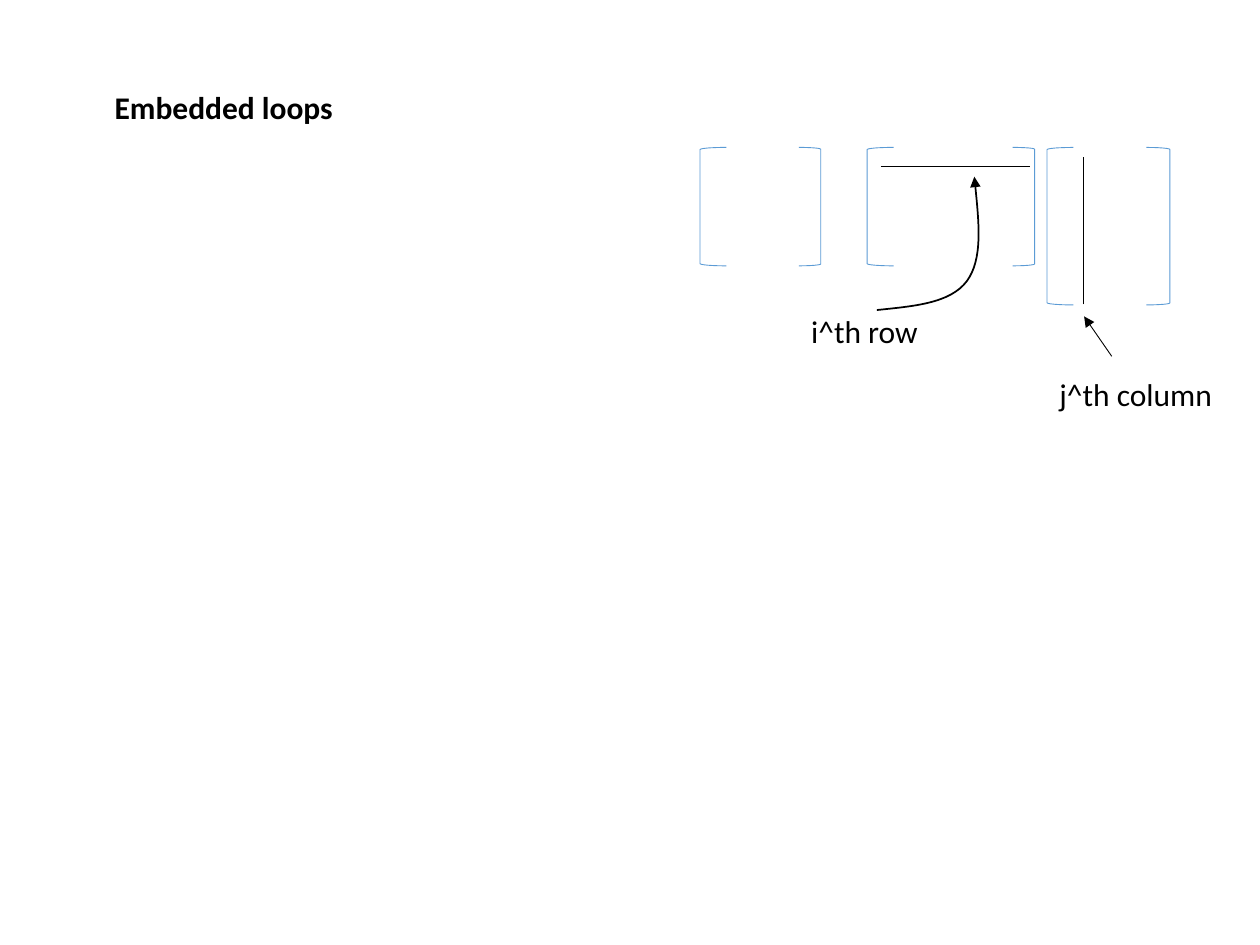
from dataclasses import dataclass

from lxml.etree import SubElement
from pptx import Presentation
from pptx.dml.color import RGBColor
from pptx.enum.shapes import MSO_CONNECTOR, MSO_SHAPE
from pptx.enum.text import MSO_ANCHOR, MSO_AUTO_SIZE, PP_ALIGN
from pptx.oxml.ns import qn
from pptx.util import Pt


@dataclass(frozen=True)
class Theme:
    font: str = "Calibri"
    size: float = 18
    ink: RGBColor = RGBColor(0, 0, 0)
    blue: RGBColor = RGBColor(0x5B, 0x9B, 0xD5)
    thin: float = 0.5
    bold: float = 1


@dataclass(frozen=True)
class Matrix:
    left: float
    right: float
    height: float
    close: float  # width of the closing bracket


@dataclass(frozen=True)
class Label:
    text: str
    left: float
    top: float
    width: float
    bold: bool = False


@dataclass(frozen=True)
class Line:
    start: tuple[float, float]
    end: tuple[float, float]
    arrow: bool = False


THEME = Theme()
TOP = 84.25  # shared top edge of the brackets
OPEN = 15.1  # width of an opening bracket
HIGH = 28.8  # height of a label

TITLE = Label("Embedded loops", 58.3, 46.8, 139.7, True)
LABELS = [
    Label("i^th row", 456.5, 174.5, 76.3),
    Label("j^th column", 598.3, 211, 103),
]
MATRICES = [
    Matrix(400, 469, 67.7, 12.5),
    Matrix(495.5, 591.2, 67.7, 12.5),
    Matrix(598.3, 668.5, 90, 13.4),
]
LINES = [
    Line((503.3, 95), (588.8, 95)),
    Line((619.2, 174), (619.2, 89.5)),
    Line((635.3, 203.6), (619.5, 180.8), True),
]
# Start point, then two control points and an end point per bend
CURVE = [
    (501.1, 177.2),
    (522, 175, 542.9, 173.5, 552.5, 160.7),
    (561.6, 148.3, 559.2, 124.5, 556.8, 101),
]


def stroke(line, color: RGBColor, width: float) -> None:
    line.color.rgb = color
    line.width = Pt(width)


def add_head(shape) -> None:
    ln = shape.line._get_or_add_ln()
    SubElement(ln, qn("a:tailEnd"), type="triangle")


def fill_text(box, label: Label) -> None:
    box.left, box.top = Pt(label.left), Pt(label.top)
    box.width, box.height = Pt(label.width), Pt(HIGH)
    frame = box.text_frame
    frame.word_wrap = False
    frame.auto_size = MSO_AUTO_SIZE.SHAPE_TO_FIT_TEXT
    frame.vertical_anchor = MSO_ANCHOR.TOP
    para = frame.paragraphs[0]
    para.alignment = PP_ALIGN.LEFT
    run = para.add_run()
    run.text = label.text
    font = run.font
    font.name, font.size, font.bold = THEME.font, Pt(THEME.size), label.bold
    font.color.rgb = THEME.ink


def draw_matrix(shapes, item: Matrix) -> None:
    sides = [
        (MSO_SHAPE.LEFT_BRACKET, item.left, OPEN),
        (MSO_SHAPE.RIGHT_BRACKET, item.right - item.close, item.close),
    ]
    for kind, left, width in sides:
        side = shapes.add_shape(kind, Pt(left), Pt(TOP), Pt(width), Pt(item.height))
        side.shadow.inherit = False
        side.fill.background()
        stroke(side.line, THEME.blue, THEME.thin)


def draw_line(shapes, item: Line) -> None:
    ends = [Pt(value) for value in item.start + item.end]
    line = shapes.add_connector(MSO_CONNECTOR.STRAIGHT, *ends)
    stroke(line.line, THEME.ink, THEME.thin)
    if item.arrow:
        add_head(line)
    SubElement(line._element.spPr, qn("a:effectLst"))


def draw_curve(shapes, points: list[tuple[float, ...]]) -> None:
    start, *bends = points
    pen = shapes.build_freeform(Pt(start[0]), Pt(start[1]))
    for bend in bends:
        pairs = zip(bend[::2], bend[1::2])
        pen.add_line_segments([(Pt(x), Pt(y)) for x, y in pairs], close=False)
    curve = pen.convert_to_shape()
    # Turn every three straight segments into one cubic bend
    steps = list(curve._element.iter(qn("a:lnTo")))
    route = steps[0].getparent()
    for first in range(0, len(steps), 3):
        cubic = SubElement(route, qn("a:cubicBezTo"))
        for step in steps[first:first + 3]:
            cubic.append(step[0])
            route.remove(step)
    curve.shadow.inherit = False
    curve.fill.background()
    stroke(curve.line, THEME.ink, THEME.bold)
    add_head(curve)


def main() -> None:
    deck = Presentation()
    deck.slide_width, deck.slide_height = Pt(720), Pt(540)
    slide = deck.slides.add_slide(deck.slide_layouts[5])
    shapes = slide.shapes

    # Title
    fill_text(shapes.title, TITLE)

    # Matrices with the marked row and column
    for item in MATRICES:
        draw_matrix(shapes, item)
    for item in LINES:
        draw_line(shapes, item)

    # Labels and the curved pointer
    for label in LABELS:
        fill_text(shapes.add_textbox(0, 0, 0, 0), label)
    draw_curve(shapes, CURVE)

    deck.save("out.pptx")


if __name__ == "__main__":
    main()
